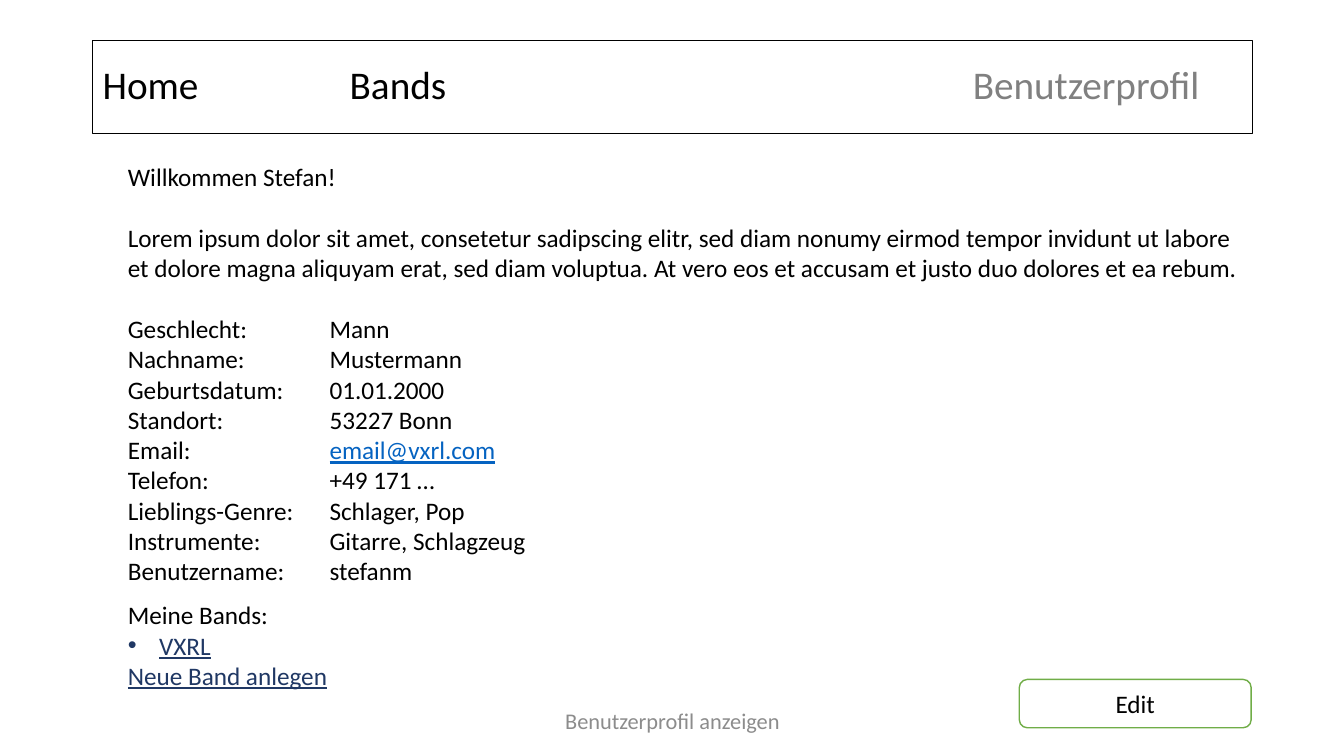
"""Build a user profile page mock-up as a single slide."""
from lxml import etree
from pptx import Presentation
from pptx.dml.color import RGBColor
from pptx.enum.shapes import MSO_SHAPE
from pptx.enum.text import MSO_ANCHOR, PP_ALIGN
from pptx.oxml.ns import qn
from pptx.util import Inches, Pt

RECTANGLE = MSO_SHAPE.RECTANGLE
ROUNDED = MSO_SHAPE.ROUNDED_RECTANGLE
MIDDLE = MSO_ANCHOR.MIDDLE
TOP = MSO_ANCHOR.TOP
CENTER = PP_ALIGN.CENTER
LEFT = PP_ALIGN.LEFT

COLORS = {
    "text": "000000",
    "active": "808080",
    "footer": "8C8C8C",
    "email": "0563C1",
    "link": "203864",
    "button": "70AD47",
    "white": "FFFFFF",
}


class PageBuilder:
    """Hold the style and the current slide."""

    font = "Calibri"
    underlined = ("email", "link")

    def __init__(self, slide):
        self.slide = slide

    def color(self, name):
        return RGBColor.from_string(COLORS[name])

    def fill_paragraph(self, paragraph, parts, size, align=LEFT, gap=0, tabs=()):
        paragraph.alignment = align
        paragraph.space_after = Pt(gap)
        for text, color in parts:
            run = paragraph.add_run()
            run.text = text
            run.font.name = self.font
            run.font.size = Pt(size)
            run.font.color.rgb = self.color(color)
            run.font.underline = color in self.underlined
        if tabs:
            properties = paragraph._p.get_or_add_pPr()
            tab_list = etree.SubElement(properties, qn("a:tabLst"))
            for stop in tabs:
                etree.SubElement(tab_list, qn("a:tab"), pos=str(Inches(stop)), algn="l")

    def bullet(self, paragraph, indent):
        properties = paragraph._p.get_or_add_pPr()
        properties.set("marL", str(Inches(indent)))
        properties.set("indent", str(-Inches(indent)))
        etree.SubElement(properties, qn("a:buFont"), typeface="Arial")
        etree.SubElement(properties, qn("a:buChar"), char="•")

    def text_box(self, box, anchor=TOP):
        text_frame = self.slide.shapes.add_textbox(*map(Inches, box)).text_frame
        text_frame.word_wrap = True
        text_frame.vertical_anchor = anchor
        return text_frame

    def box(self, kind, box, line, width, fill=None):
        shape = self.slide.shapes.add_shape(kind, *map(Inches, box))
        shape.shadow.inherit = False
        if fill:
            shape.fill.solid()
            shape.fill.fore_color.rgb = self.color(fill)
        else:
            shape.fill.background()
        shape.line.color.rgb = self.color(line)
        shape.line.width = Pt(width)
        shape.text_frame.vertical_anchor = MIDDLE
        return shape.text_frame

    def paragraphs(self, text_frame, rows, size):
        for index, (parts, options) in enumerate(rows):
            paragraph = text_frame.add_paragraph() if index else text_frame.paragraphs[0]
            self.fill_paragraph(paragraph, parts, size, **options)


presentation = Presentation()
presentation.slide_width = Inches(13.33)
presentation.slide_height = Inches(7.5)
page = PageBuilder(presentation.slides.add_slide(presentation.slide_layouts[6]))

BODY_SIZE = 18
BLANK_LINE = 22
WELCOME = "Willkommen Stefan!"
ABOUT = (
    "Lorem ipsum dolor sit amet, consetetur sadipscing elitr, sed diam nonumy eirmod "
    "tempor invidunt ut labore et dolore magna aliquyam erat, sed diam voluptua. "
    "At vero eos et accusam et justo duo dolores et ea rebum."
)
FIELDS = [
    ("Geschlecht:", "Mann", "text"),
    ("Nachname:", "Mustermann", "text"),
    ("Geburtsdatum:", "01.01.2000", "text"),
    ("Standort:", "53227 Bonn", "text"),
    ("Email:", "email@vxrl.com", "email"),
    ("Telefon:", "+49 171 …", "text"),
    ("Lieblings-Genre:", "Schlager, Pop", "text"),
    ("Instrumente:", "Gitarre, Schlagzeug", "text"),
    ("Benutzername:", "stefanm", "text"),
]

profile_rows = [([(text, "text")], {"gap": BLANK_LINE}) for text in (WELCOME, ABOUT)]
profile_rows += [
    ([(label + "\t", "text"), (value, color)], {"tabs": (2,)})
    for label, value, color in FIELDS
]
page.paragraphs(page.text_box((1.17, 1.55, 11.24, 4.34)), profile_rows, BODY_SIZE)

navigation = page.box(RECTANGLE, (0.92, 0.4, 11.5, 0.92), "text", 0.75)
page.fill_paragraph(
    navigation.paragraphs[0],
    [("Home\tBands\t", "text"), ("Benutzerprofil", "active")],
    28,
    tabs=(2.45, 8.63),
)
navigation.paragraphs[0].line_spacing = 0.9

footer = page.text_box((4.42, 6.95, 4.5, 0.4), MIDDLE)
page.fill_paragraph(footer.paragraphs[0], [("Benutzerprofil anzeigen", "footer")], 16, CENTER)

edit_button = page.box(ROUNDED, (10.11, 6.74, 2.3, 0.48), "button", 1, "white")
page.fill_paragraph(edit_button.paragraphs[0], [("Edit", "text")], BODY_SIZE, CENTER)

bands = page.text_box((1.17, 5.9, 4, 1.01))
band_rows = [
    ([("Meine Bands:", "text")], {}),
    ([("VXRL", "link")], {}),
    ([("Neue Band anlegen", "link")], {}),
]
page.paragraphs(bands, band_rows, BODY_SIZE)
page.bullet(bands.paragraphs[1], 0.31)

presentation.save("out.pptx")
